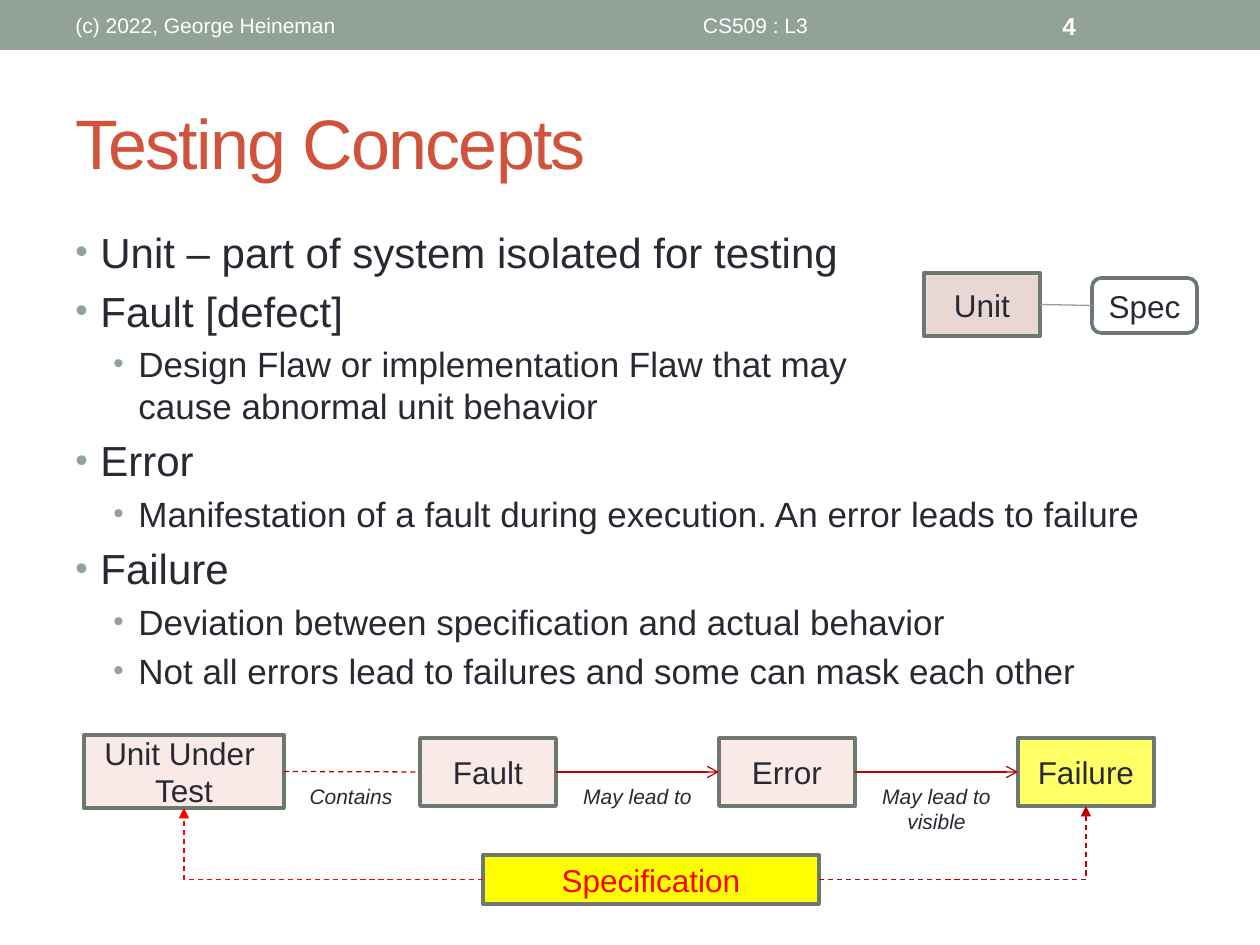
from dataclasses import dataclass
from lxml.etree import SubElement as Sub
from pptx import Presentation
from pptx.dml.color import RGBColor as Rgb
from pptx.enum.dml import MSO_LINE as Dash
from pptx.enum.shapes import MSO_CONNECTOR as Conn, MSO_SHAPE as Shape
from pptx.enum.text import MSO_ANCHOR as Anchor, PP_ALIGN as Align
from pptx.oxml.ns import qn
from pptx.util import Pt

PIXEL = 914400 // 126
TOP, LEFT, BASE, RIGHT = range(4)


def px(*sizes):
    return [size * PIXEL for size in sizes]


@dataclass(frozen=True)
class Theme:
    face: str = "Arial"
    ink: str = "292934"
    white: str = "FFFFFF"
    sage: str = "93A299"
    edge: str = "6D7871"
    rust: str = "D2533C"
    rose: str = "E9D7D3"
    pink: str = "F6DDD8"
    yellow: str = "FFFF00"
    red: str = "FF0000"
    dark: str = "C00000"
    title: int = 40
    body: tuple = (24, 20)
    box: int = 18
    page: int = 14
    small: int = 12


class Deck:
    def __init__(self, theme):
        self.theme = theme
        self.show = Presentation()
        self.show.slide_width, self.show.slide_height = px(1260, 945)
        self.slide = self.show.slides.add_slide(self.show.slide_layouts[6])
        self.shapes = self.slide.shapes

    def style(self, para, size, color=None, bold=False, slant=False):
        font = para.font
        font.name, font.size = self.theme.face, Pt(size)
        font.bold, font.italic = bold, slant
        font.color.rgb = Rgb.from_string(color or self.theme.ink)

    def text(self, at, words, size, color=None, align=Align.LEFT,
             anchor=Anchor.MIDDLE, wrap=True, track=0, **look):
        frame = self.shapes.add_textbox(*px(*at)).text_frame
        frame.word_wrap, frame.vertical_anchor = wrap, anchor
        para = frame.paragraphs[0]
        para.text, para.alignment = words, align
        self.style(para, size, color, **look)
        if track:
            para.runs[0].font._element.set("spc", str(track))

    def label(self, at, words):
        self.text(at, words, self.theme.small, align=Align.CENTER,
                  anchor=Anchor.TOP, wrap=False, slant=True)

    def box(self, at, fill, words="", color=None, kind=Shape.RECTANGLE,
            alpha=100, edge=True):
        shape = self.shapes.add_shape(kind, *px(*at))
        shape.shadow.inherit = False
        shape.fill.solid()
        shape.fill.fore_color.rgb = Rgb.from_string(fill)
        if alpha < 100:
            tint = shape.fill._xPr.find(qn("a:solidFill"))[0]
            Sub(tint, qn("a:alpha"), val=str(alpha * 1000))
        if edge:
            shape.line.color.rgb = Rgb.from_string(self.theme.edge)
            shape.line.width = Pt(2.08)
        else:
            shape.line.fill.background()
        if words:
            frame = shape.text_frame
            frame.word_wrap, frame.vertical_anchor = True, Anchor.MIDDLE
            para = frame.paragraphs[0]
            para.text, para.alignment = words, Align.CENTER
            self.style(para, self.theme.box, color)
        return shape

    def link(self, start, end, color, tip=None, dash=False, bent=False):
        (first, out), (last, into) = start, end
        kind = Conn.ELBOW if bent else Conn.STRAIGHT
        line = self.shapes.add_connector(kind, 0, 0, 0, 0)
        line.begin_connect(first, out)
        line.end_connect(last, into)
        line.line.color.rgb = Rgb.from_string(color)
        line.line.width = Pt(0.75)
        if dash:
            line.line.dash_style = Dash.DASH
        prop = line._element.spPr
        if bent:
            prop.find(qn("a:prstGeom")).set("prst", "bentConnector2")
        if tip:
            Sub(prop.find(qn("a:ln")), qn("a:tailEnd"), type=tip)
        Sub(prop, qn("a:effectLst"))

    def points(self, at, items):
        frame = self.shapes.add_textbox(*px(*at)).text_frame
        frame.word_wrap = True
        for spot, (level, words) in enumerate(items):
            para = frame.add_paragraph() if spot else frame.paragraphs[0]
            para.text, para.level = words, level
            prop = para._p.get_or_add_pPr()
            prop.set("marL", str(px(25, 63)[level]))
            prop.set("indent", str(px(-25)[0]))
            tint = Sub(prop, qn("a:buClr"))
            Sub(tint, qn("a:srgbClr"), val=self.theme.sage)
            Sub(prop, qn("a:buSzPct"), val="85000")
            Sub(prop, qn("a:buFont"), typeface=self.theme.face)
            Sub(prop, qn("a:buChar"), char="•")
            size = self.theme.body[level]
            para.space_before = Pt(size * 0.2)
            self.style(para, size)


look = Theme()
deck = Deck(look)

deck.box((0, 0, 1260, 50), look.sage, edge=False)
deck.text((63, 3, 399, 45), "(c) 2022, George Heineman", look.small, look.white)
deck.text((472, 3, 567, 45), "CS509 : L3", look.small, look.white, Align.CENTER)
deck.text((1050, 3, 147, 45), "4", look.page, look.white, bold=True)
deck.text((63, 73, 1134, 136), "Testing Concepts", look.title, look.rust, track=-100)

deck.points((63, 220, 1103, 624), [
    (0, "Unit – part of system isolated for testing"),
    (0, "Fault [defect]"),
    (1, "Design Flaw or implementation Flaw that may \ncause abnormal unit behavior"),
    (0, "Error"),
    (1, "Manifestation of a fault during execution. An error leads to failure"),
    (0, "Failure"),
    (1, "Deviation between specification and actual behavior"),
    (1, "Not all errors lead to failures and some can mask each other"),
])

unit = deck.box((924, 273, 116, 63), look.rose, "Unit")
note = deck.box((1092, 278, 105, 55), look.white, "Spec", kind=Shape.ROUNDED_RECTANGLE)
deck.link((note, LEFT), (unit, RIGHT), look.sage)

test = deck.box((84, 735, 200, 73), look.pink, "Unit Under \nTest", alpha=60)
fault, error, fail = [
    deck.box((420 + 299 * step, 738, 136, 68), fill, words, alpha=60)
    for step, (words, fill) in enumerate([
        ("Fault", look.pink), ("Error", look.pink), ("Failure", look.yellow)])
]
rule = deck.box((483, 855, 336, 49), look.yellow, "Specification", look.red)

deck.link((test, RIGHT), (fault, LEFT), look.dark, dash=True)
for start, end in [(fault, error), (error, fail)]:
    deck.link((start, RIGHT), (end, LEFT), look.dark, "arrow")
for side, end, color in [(LEFT, test, look.red), (RIGHT, fail, look.dark)]:
    deck.link((rule, side), (end, BASE), color, "triangle", dash=True, bent=True)

deck.label((297, 777, 108, 38), "Contains")
deck.label((570, 777, 135, 38), "May lead to")
deck.label((869, 777, 135, 63), "May lead to\nvisible")

deck.show.save("out.pptx")
